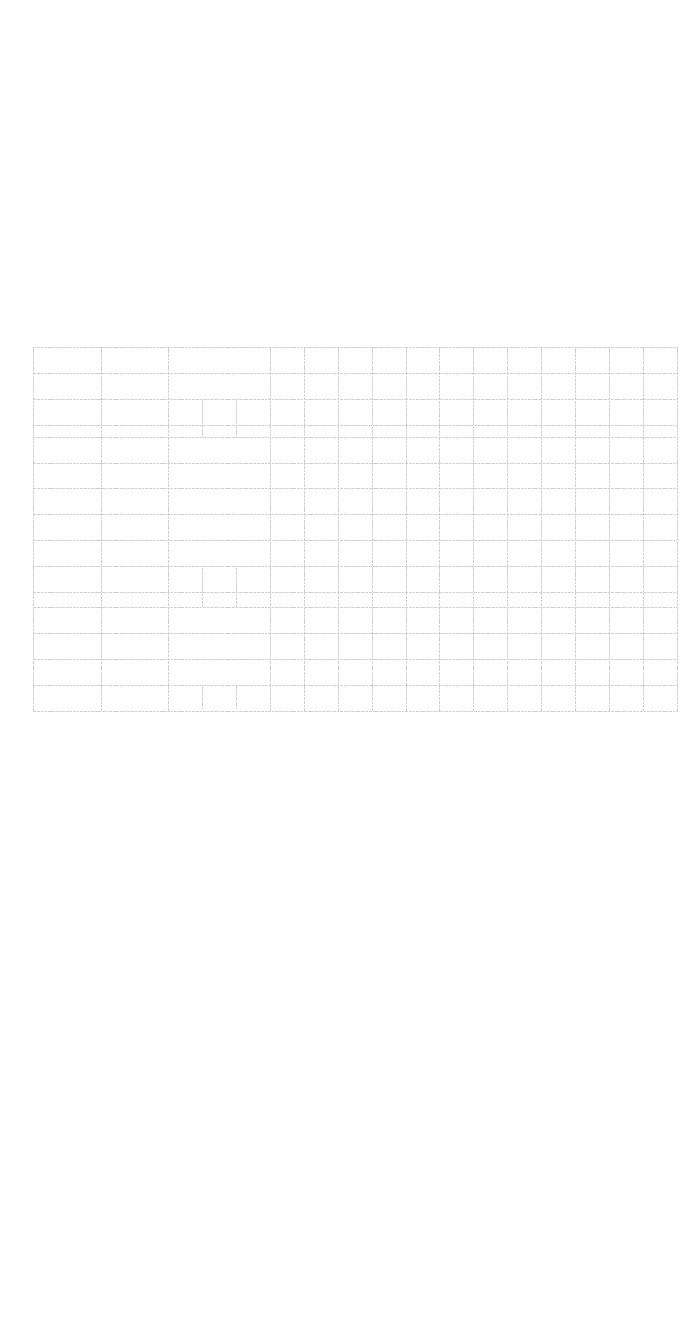
"""Build a tall page with a dashed planning grid in three bands of rows."""
from lxml.etree import SubElement
from pptx import Presentation
from pptx.dml.color import RGBColor
from pptx.enum.dml import MSO_LINE_DASH_STYLE as Dash
from pptx.enum.shapes import MSO_CONNECTOR as Connector
from pptx.oxml.ns import qn
from pptx.util import Inches, Pt

LEFT, RIGHT, TOP, BOTTOM = 0.51, 10.34, 5.29, 10.84
COLUMN_STEP, ROW_STEP = 0.517, 0.394
FULL_COLUMNS = [0, 2, 4, *range(7, 20)]
SPLIT_COLUMNS = [5, 6]
ROW_BANDS = [(5.3, 4), (6.67, 7), (9.27, 5)]
SPLIT_SPANS = [(6.1, 6.66), (8.67, 9.27), (10.47, 10.82)]

deck = Presentation()
deck.slide_width, deck.slide_height = Inches(10.5), Inches(20.5)
page = deck.slides.add_slide(deck.slide_layouts[6])
grid = page.shapes.add_group_shape()


def add_grid_line(x1, y1, x2, y2, color="D0CECE"):
    rule = grid.shapes.add_connector(
        Connector.STRAIGHT, Inches(x1), Inches(y1), Inches(x2), Inches(y2))
    rule.line.color.rgb = RGBColor.from_string(color)
    rule.line.width = Pt(1)
    rule.line.dash_style = Dash.SQUARE_DOT
    SubElement(rule._element.spPr, qn("a:effectLst"))


for band_top, line_count in ROW_BANDS:
    for row in range(line_count):
        y = band_top + row * ROW_STEP
        add_grid_line(LEFT, y, RIGHT, y)

for column in FULL_COLUMNS:
    x = LEFT + column * COLUMN_STEP
    add_grid_line(x, TOP, x, BOTTOM)

for column in SPLIT_COLUMNS:
    x = LEFT + column * COLUMN_STEP
    for span_top, span_bottom in SPLIT_SPANS:
        add_grid_line(x, span_top, x, span_bottom)

deck.save("out.pptx")
